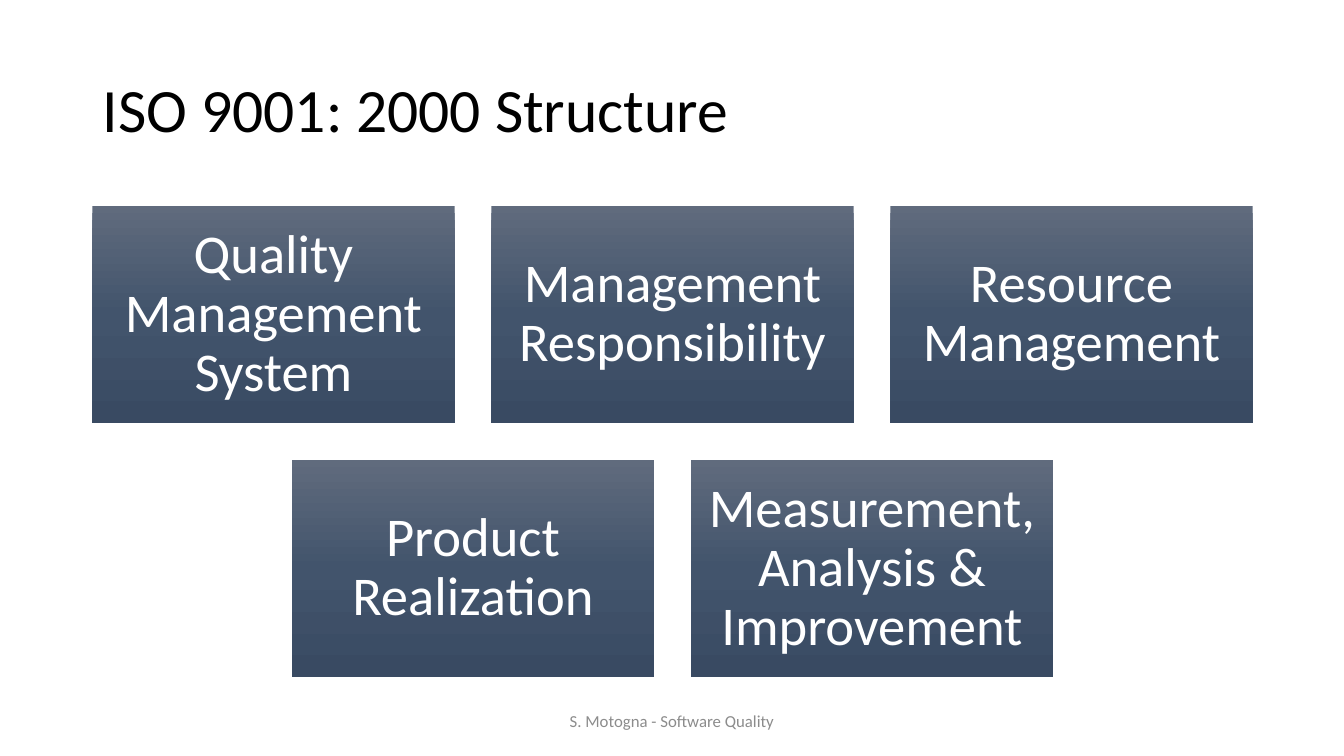
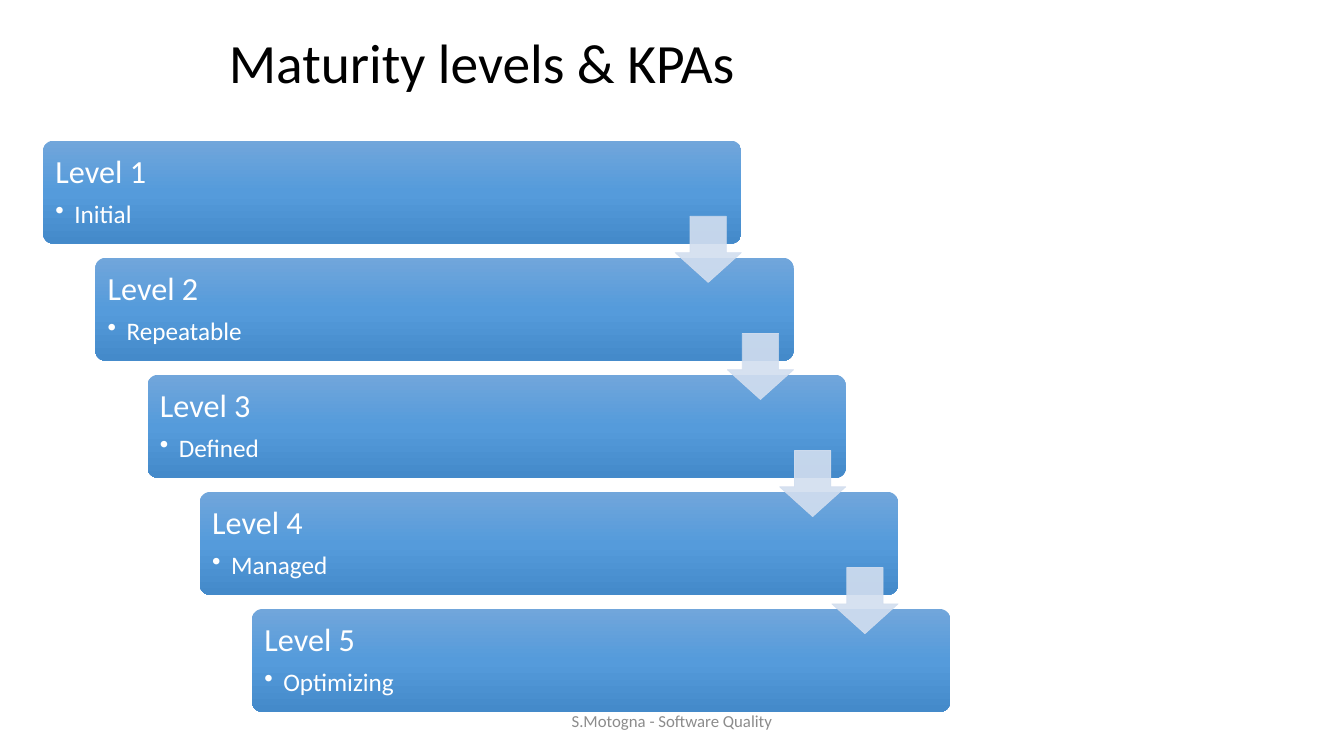
import copy

import lxml.etree
import pptx
import pptx.dml.color
import pptx.enum.shapes
import pptx.enum.text
import pptx.oxml.ns
import pptx.util

PX = 9525  # EMU in one px; a page is 1280 x 720 px
FONT = "Calibri"
COLOURS = {
    "background": "FFFFFF",
    "title": "000000",
    "footer": "8C8C8C",
    "label": "FFFFFF",
    "arrow": "D2DEEF",
}
SLATE = ("606B7D", "42546C", "394A62")
BLUE = ("71A6DB", "559BDB", "448ACA")

SHAPES = pptx.enum.shapes.MSO_SHAPE
ALIGN = pptx.enum.text.PP_ALIGN
qn = pptx.oxml.ns.qn


def px(*lengths):
    return [round(length * PX) for length in lengths]


def colour(value):
    return pptx.dml.color.RGBColor.from_string(value)


# Text

def set_frame(shape, across, down):
    frame = shape.text_frame
    frame.word_wrap = True
    frame.vertical_anchor = pptx.enum.text.MSO_ANCHOR.MIDDLE
    frame.margin_left, frame.margin_right = px(across, across)
    frame.margin_top, frame.margin_bottom = px(down, down)
    return frame


def write(para, words, size, hue, align=ALIGN.LEFT, spacing=0.9):
    para.alignment = align
    para.line_spacing = spacing
    span = para.add_run()
    span.text = words
    span.font.name = FONT
    span.font.size = pptx.util.Pt(size)
    span.font.color.rgb = colour(COLOURS[hue])


def add_bullet(para, indent):
    properties = para._p.get_or_add_pPr()
    properties.set("marL", str(indent * PX))
    properties.set("indent", str(-indent * PX))
    lxml.etree.SubElement(properties, qn("a:buChar"), char="•")


def add_text(page, box, words, size, hue, align=ALIGN.LEFT, spacing=0.9):
    frame = set_frame(page.shapes.add_textbox(*px(*box)), 10, 5)
    write(frame.paragraphs[0], words, size, hue, align, spacing)


# Shapes

def add_plain(page, kind, box):
    shape = page.shapes.add_shape(kind, *px(*box))
    shape.shadow.inherit = False
    shape.line.fill.background()
    return shape


def add_gradient(page, kind, box, hues):
    """Shape shaded from top to bottom through three evenly spaced hues."""
    shape = add_plain(page, kind, box)
    shape.fill.gradient()
    shape.fill.gradient_angle = 270
    stop_list = shape._element.spPr.find(".//" + qn("a:gsLst"))
    stop_list.append(copy.deepcopy(stop_list[0]))
    for index, (stop, hue) in enumerate(zip(shape.fill.gradient_stops, hues)):
        stop.color.rgb = colour(hue)
        stop.position = index / 2
    return shape


# Regions

def add_card(page, box, words):
    card = add_gradient(page, SHAPES.RECTANGLE, box, SLATE)
    frame = set_frame(card, 15, 15)
    write(frame.paragraphs[0], words, 39, "label", ALIGN.CENTER)


def add_card_grid(page, box, rows):
    """Rows of equal cards, each row centred in the box."""
    left, top, width, height = box
    gap = 35
    columns = max(len(row) for row in rows)
    card_width = (width - gap * (columns - 1)) // columns
    card_height = (height - gap * (len(rows) - 1)) // len(rows)
    for row_index, row in enumerate(rows):
        row_width = len(row) * (card_width + gap) - gap
        row_left = left + (width - row_width) // 2
        row_top = top + row_index * (card_height + gap)
        for index, words in enumerate(row):
            card_left = row_left + index * (card_width + gap)
            add_card(page, (card_left, row_top, card_width, card_height), words)


def add_level(page, box, name, stage):
    bar = add_gradient(page, SHAPES.ROUNDED_RECTANGLE, box, BLUE)
    bar.adjustments[0] = 0.1
    frame = set_frame(bar, 9, 9)
    heading = frame.paragraphs[0]
    write(heading, name, 23, "label")
    heading.space_after = pptx.util.Pt(8)
    detail = frame.add_paragraph()
    add_bullet(detail, 18)
    write(detail, stage, 18, "label")


def add_step_arrow(page, box):
    arrow = add_plain(page, SHAPES.DOWN_ARROW, box)
    arrow.adjustments[0] = 0.55
    arrow.adjustments[1] = 0.45
    arrow.line.width = pptx.util.Pt(0.5)
    for fill in (arrow.fill, arrow.line.fill):
        fill.solid()
        fill.fore_color.rgb = colour(COLOURS["arrow"])
    for tint in arrow._element.spPr.iter(qn("a:srgbClr")):
        lxml.etree.SubElement(tint, qn("a:alpha"), val="90000")


def add_staircase(page, box, levels):
    """Bars stepping down to the right, with an arrow from each to the next."""
    left, top, width, height = box
    bar_width, bar_height, arrow_size, arrow_drop = 665, 98, 63, 72
    steps = len(levels) - 1
    corners = [(left + (width - bar_width) * index / steps,
                top + (height - bar_height) * index / steps)
               for index in range(len(levels))]
    for number, (corner, stage) in enumerate(zip(corners, levels), 1):
        add_level(page, (*corner, bar_width, bar_height), f"Level {number}", stage)
    for bar_left, bar_top in corners[:-1]:
        add_step_arrow(page, (bar_left + bar_width - arrow_size,
                              bar_top + arrow_drop, arrow_size, arrow_size))


# Pages

def add_page(deck, title, title_box, title_size):
    page = deck.slides.add_slide(deck.slide_layouts[6])
    page.background.fill.solid()
    page.background.fill.fore_color.rgb = colour(COLOURS["background"])
    add_text(page, title_box, title, title_size, "title")
    return page


def add_footer(page, words):
    add_text(page, (424, 667, 432, 38), words, 12, "footer", ALIGN.CENTER, 1.0)


def build_structure(deck):
    page = add_page(deck, "ISO 9001: 2000 Structure", (88, 38, 1104, 139), 44)
    add_card_grid(page, (88, 196, 1105, 449), [
        ["Quality Management System", "Management Responsibility",
         "Resource Management"],
        ["Product Realization", "Measurement, Analysis & Improvement"],
    ])
    add_footer(page, "S. Motogna - Software Quality")


def build_maturity(deck):
    page = add_page(deck, "Maturity levels & KPAs", (208, 29, 864, 67), 39.6)
    add_staircase(page, (41, 134, 864, 544),
                  ["Initial", "Repeatable", "Defined", "Managed", "Optimizing"])
    add_footer(page, "S.Motogna - Software Quality")


def main():
    deck = pptx.Presentation()
    deck.slide_width, deck.slide_height = px(1280, 720)
    build_structure(deck)
    build_maturity(deck)
    deck.save("out.pptx")


if __name__ == "__main__":
    main()
